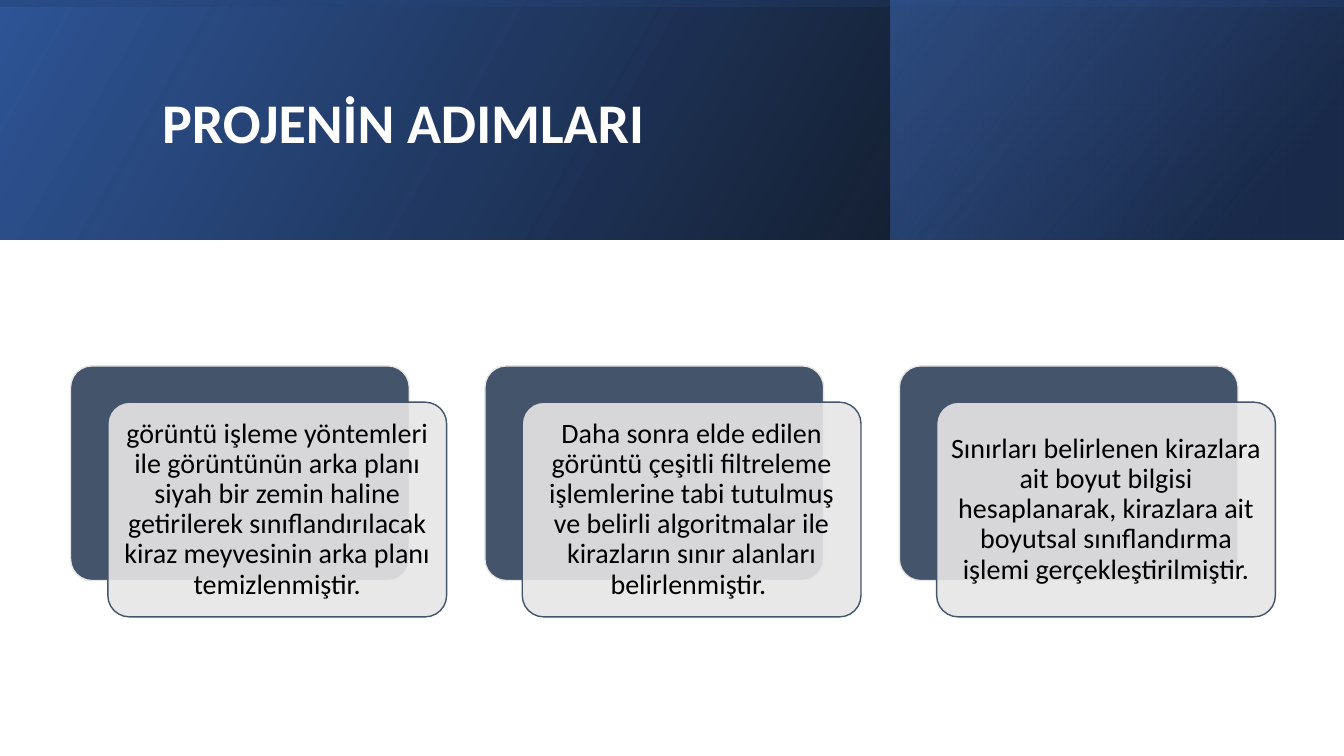
"""Build the project steps slide: a gradient banner above three layered cards."""
from dataclasses import dataclass

from lxml.etree import SubElement
from pptx import Presentation
from pptx.dml.color import RGBColor
from pptx.enum.shapes import MSO_SHAPE as Preset
from pptx.enum.text import MSO_ANCHOR as Anchor, PP_ALIGN as Align
from pptx.oxml import parse_xml
from pptx.oxml.ns import nsdecls, qn
from pptx.shapes.autoshape import Shape
from pptx.slide import Slide
from pptx.text.text import TextFrame
from pptx.util import Inches, Pt


@dataclass(frozen=True)
class Theme:
    """Colours, font and type sizes of the slide."""
    slate: str = "44546A"
    mist: str = "E7E6E6"
    black: str = "000000"
    white: str = "FFFFFF"
    royal: str = "2F5597"
    navy: str = "203864"
    azure: str = "4472C4"
    font: str = "Calibri"
    title_size: int = 40
    step_size: int = 20
    outline: float = 1


@dataclass(frozen=True)
class Box:
    """A rectangle in inches."""
    left: float
    top: float
    width: float
    height: float


@dataclass(frozen=True)
class Stop:
    """A gradient stop with position and opacity in percent."""
    position: int
    colour: str
    opacity: int = 100


@dataclass(frozen=True)
class BannerLayer:
    """One mirrored gradient rectangle of the banner."""
    box: Box
    stops: tuple[Stop, ...]
    angle: int
    rotation: int = 0


THEME = Theme()
SLIDE_WIDTH, SLIDE_HEIGHT, BANNER_HEIGHT = 13.33, 7.5, 2.38
TITLE = "PROJENİN ADIMLARI"
TITLE_BOX = Box(1.51, 0.38, 10.63, 1.72)
BANNER = (
    BannerLayer(Box(0, 0, SLIDE_WIDTH, BANNER_HEIGHT),
                (Stop(0, THEME.black, 96), Stop(100, THEME.royal)), 330),
    BannerLayer(Box(8.83, 0, 4.5, BANNER_HEIGHT),
                (Stop(19, THEME.navy, 68), Stop(100, THEME.azure, 48)), 320),
    BannerLayer(Box(5.48, -5.48, BANNER_HEIGHT, SLIDE_WIDTH),
                (Stop(23, THEME.royal, 16), Stop(99, THEME.black, 45)), 350, 270),
)
STEPS = (
    "görüntü işleme yöntemleri ile görüntünün arka planı siyah bir zemin haline "
    "getirilerek sınıflandırılacak kiraz meyvesinin arka planı temizlenmiştir.",
    "Daha sonra elde edilen görüntü çeşitli filtreleme işlemlerine tabi tutulmuş "
    "ve belirli algoritmalar ile kirazların sınır alanları belirlenmiştir. ",
    "Sınırları belirlenen kirazlara ait boyut bilgisi hesaplanarak, kirazlara ait "
    "boyutsal sınıflandırma işlemi gerçekleştirilmiştir.",
)
FIRST_CARD = Box(0.7, 3.63, 3.36, 2.13)
CARD_PITCH, FRONT_SHIFT_X, FRONT_SHIFT_Y = 4.11, 0.37, 0.36
CARD_ROUNDING, CARD_INSET, CARD_OPACITY = 0.1, 0.08, 90


def add_shape(slide: Slide, preset: Preset, box: Box) -> Shape:
    """Add a preset shape without shadow."""
    shape = slide.shapes.add_shape(preset, Inches(box.left), Inches(box.top),
                                   Inches(box.width), Inches(box.height))
    shape.shadow.inherit = False
    return shape


def add_banner_layer(slide: Slide, layer: BannerLayer) -> None:
    """Draw a banner layer with its translucent gradient."""
    panel = add_shape(slide, Preset.RECTANGLE, layer.box)
    panel.rotation = layer.rotation
    panel.line.fill.background()
    panel.fill.background()
    properties = panel._element.spPr
    properties.find(qn("a:xfrm")).set("flipH", "1")
    stops = "".join(
        f'<a:gs pos="{stop.position * 1000}"><a:srgbClr val="{stop.colour}">'
        f'<a:alpha val="{stop.opacity * 1000}"/></a:srgbClr></a:gs>'
        for stop in layer.stops)
    gradient = parse_xml(
        f'<a:gradFill {nsdecls("a")} rotWithShape="1"><a:gsLst>{stops}</a:gsLst>'
        f'<a:lin ang="{layer.angle * 60000}" scaled="0"/></a:gradFill>')
    properties.replace(properties.find(qn("a:noFill")), gradient)


def write_text(frame: TextFrame, wording: str, size: int, colour: str,
               align: Align, bold: bool = False) -> None:
    """Write one vertically centred paragraph."""
    frame.word_wrap = True
    frame.vertical_anchor = Anchor.MIDDLE
    paragraph = frame.paragraphs[0]
    paragraph.alignment = align
    paragraph.line_spacing = 0.9
    run = paragraph.add_run()
    run.text = wording
    run.font.name = THEME.font
    run.font.size = Pt(size)
    run.font.bold = bold
    run.font.color.rgb = RGBColor.from_string(colour)


def add_card(slide: Slide, box: Box, fill: str, outline: str) -> Shape:
    """Draw a rounded card."""
    card = add_shape(slide, Preset.ROUNDED_RECTANGLE, box)
    card.adjustments[0] = CARD_ROUNDING
    card.fill.solid()
    card.fill.fore_color.rgb = RGBColor.from_string(fill)
    card.line.color.rgb = RGBColor.from_string(outline)
    card.line.width = Pt(THEME.outline)
    return card


def add_step(slide: Slide, position: int, wording: str) -> None:
    """Draw a step as a dark card behind a translucent text card."""
    left = FIRST_CARD.left + position * CARD_PITCH
    width, height = FIRST_CARD.width, FIRST_CARD.height
    add_card(slide, Box(left, FIRST_CARD.top, width, height), THEME.slate, THEME.mist)
    front_box = Box(left + FRONT_SHIFT_X, FIRST_CARD.top + FRONT_SHIFT_Y, width, height)
    front = add_card(slide, front_box, THEME.mist, THEME.slate)
    tint = front._element.spPr.find(qn("a:solidFill")).find(qn("a:srgbClr"))
    SubElement(tint, qn("a:alpha")).set("val", str(CARD_OPACITY * 1000))
    frame = front.text_frame
    frame.margin_left = frame.margin_right = Inches(CARD_INSET)
    frame.margin_top = frame.margin_bottom = Inches(CARD_INSET)
    write_text(frame, wording, THEME.step_size, THEME.black, Align.CENTER)


def main() -> None:
    """Build and save the slide."""
    deck = Presentation()
    deck.slide_width, deck.slide_height = Inches(SLIDE_WIDTH), Inches(SLIDE_HEIGHT)
    slide = deck.slides.add_slide(deck.slide_layouts[6])
    for layer in BANNER:
        add_banner_layer(slide, layer)
    title = slide.shapes.add_textbox(Inches(TITLE_BOX.left), Inches(TITLE_BOX.top),
                                     Inches(TITLE_BOX.width), Inches(TITLE_BOX.height))
    write_text(title.text_frame, TITLE, THEME.title_size, THEME.white, Align.LEFT, bold=True)
    for position, wording in enumerate(STEPS):
        add_step(slide, position, wording)
    deck.save("out.pptx")


if __name__ == "__main__":
    main()
